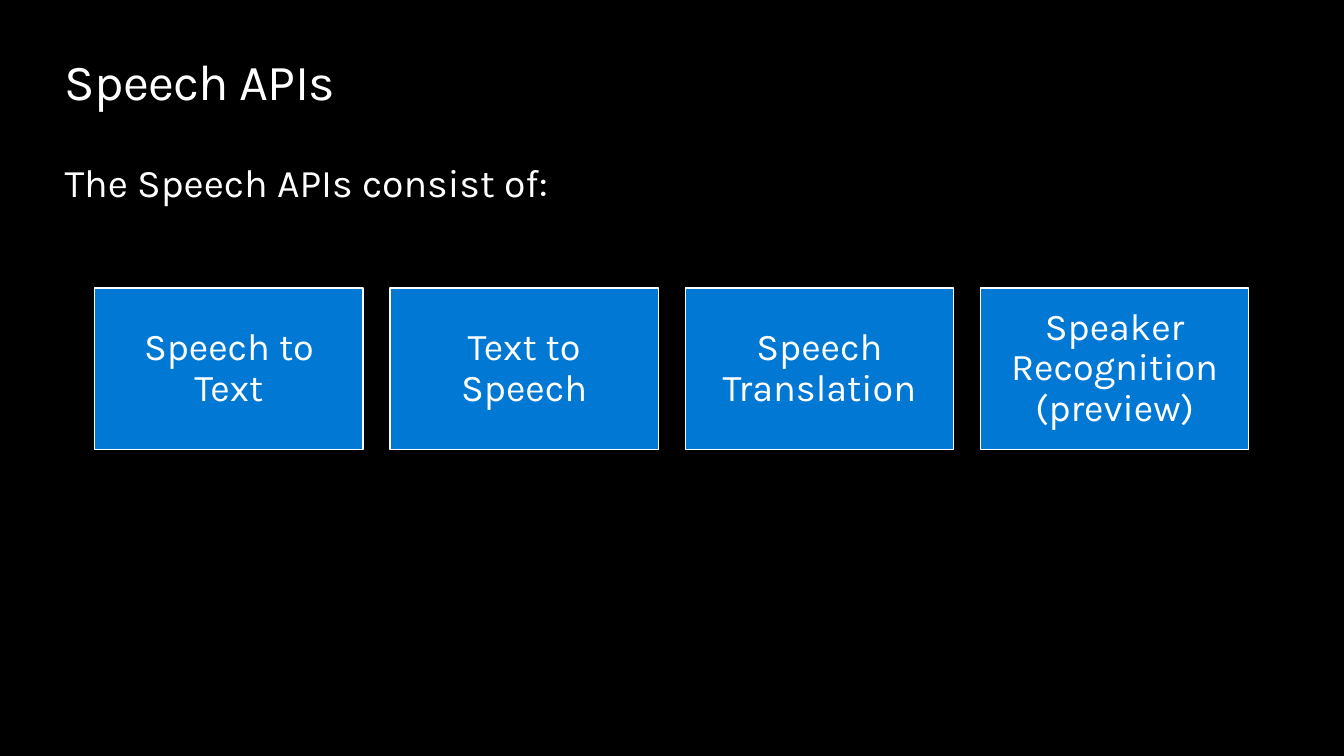
from dataclasses import dataclass

from pptx import Presentation
from pptx.dml.color import RGBColor
from pptx.enum.shapes import MSO_SHAPE
from pptx.enum.text import MSO_ANCHOR as Anchor, PP_ALIGN as Align
from pptx.slide import Slide
from pptx.text.text import TextFrame
from pptx.util import Cm, Pt

BLACK, WHITE, BLUE = "000000", "FFFFFF", "0078D4"
FONT = "Karla"

# Tile row, in centimetres
ROW_LEFT, ROW_TOP = 2.39, 7.26
TILE_WIDTH, TILE_HEIGHT, TILE_PITCH = 6.76, 4.06, 7.44
API_NAMES = [
    "Speech to Text",
    "Text to Speech",
    "Speech Translation",
    "Speaker Recognition (preview)",
]


@dataclass
class Heading:
    text: str
    top: float
    height: float
    size: float
    tracking: float = 0


HEADINGS = [
    Heading("Speech APIs", 1.27, 1.55, 36, tracking=-0.5),
    Heading("The Speech APIs consist of:", 3.99, 1.19, 28),
]


def color(value: str) -> RGBColor:
    return RGBColor.from_string(value)


def write(frame: TextFrame, text: str, *, size: float, inset: float = 0,
          align: Align = Align.LEFT, anchor: Anchor = Anchor.TOP,
          line_spacing: float = 1.0, tracking: float = 0) -> None:
    frame.word_wrap = True
    frame.vertical_anchor = anchor
    frame.margin_left = frame.margin_right = Cm(inset)
    frame.margin_top = frame.margin_bottom = Cm(inset)
    para = frame.paragraphs[0]
    para.alignment = align
    para.line_spacing = line_spacing
    span = para.add_run()
    span.text = text
    span.font.name = FONT
    span.font.size = Pt(size)
    span.font.color.rgb = color(WHITE)
    if tracking:
        span._r.get_or_add_rPr().set("spc", str(round(tracking * 100)))


def add_heading(page: Slide, heading: Heading) -> None:
    box = page.shapes.add_textbox(Cm(1.63), Cm(heading.top), Cm(30.61), Cm(heading.height))
    write(box.text_frame, heading.text, size=heading.size, tracking=heading.tracking)


def add_tile(page: Slide, name: str, left: float) -> None:
    tile = page.shapes.add_shape(MSO_SHAPE.RECTANGLE, Cm(left), Cm(ROW_TOP),
                                 Cm(TILE_WIDTH), Cm(TILE_HEIGHT))
    tile.shadow.inherit = False
    tile.fill.solid()
    tile.fill.fore_color.rgb = color(BLUE)
    tile.line.color.rgb = color(WHITE)
    tile.line.width = Pt(0.85)
    write(tile.text_frame, name, size=27, inset=0.28, align=Align.CENTER,
          anchor=Anchor.MIDDLE, line_spacing=0.9)


def main() -> None:
    deck = Presentation()
    deck.slide_width, deck.slide_height = Cm(33.87), Cm(19.05)
    page = deck.slides.add_slide(deck.slide_layouts[6])

    # Background
    page.background.fill.solid()
    page.background.fill.fore_color.rgb = color(BLACK)

    # Title and lead-in
    for heading in HEADINGS:
        add_heading(page, heading)

    # One tile per API
    for index, name in enumerate(API_NAMES):
        add_tile(page, name, ROW_LEFT + index * TILE_PITCH)

    deck.save("out.pptx")


if __name__ == "__main__":
    main()
